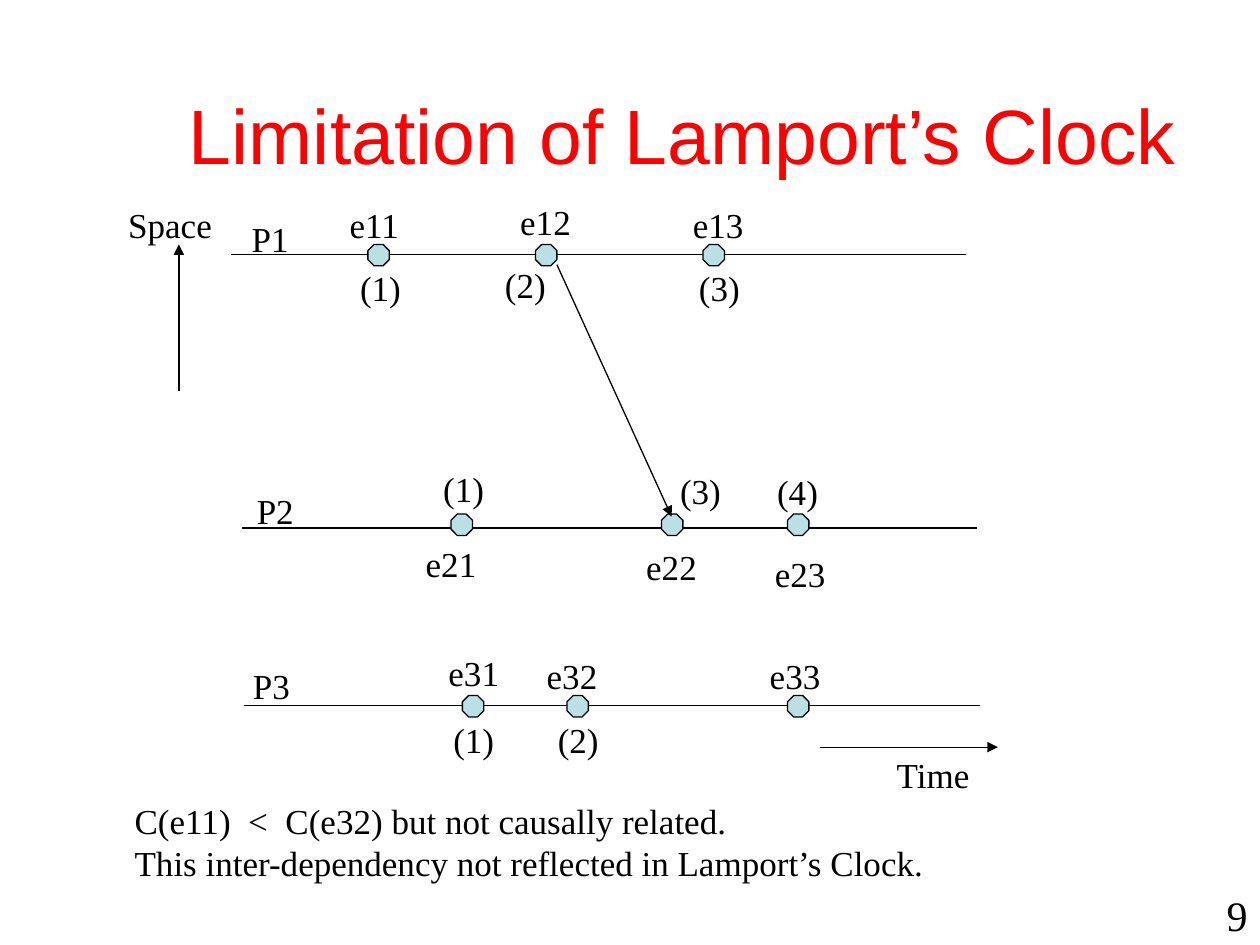
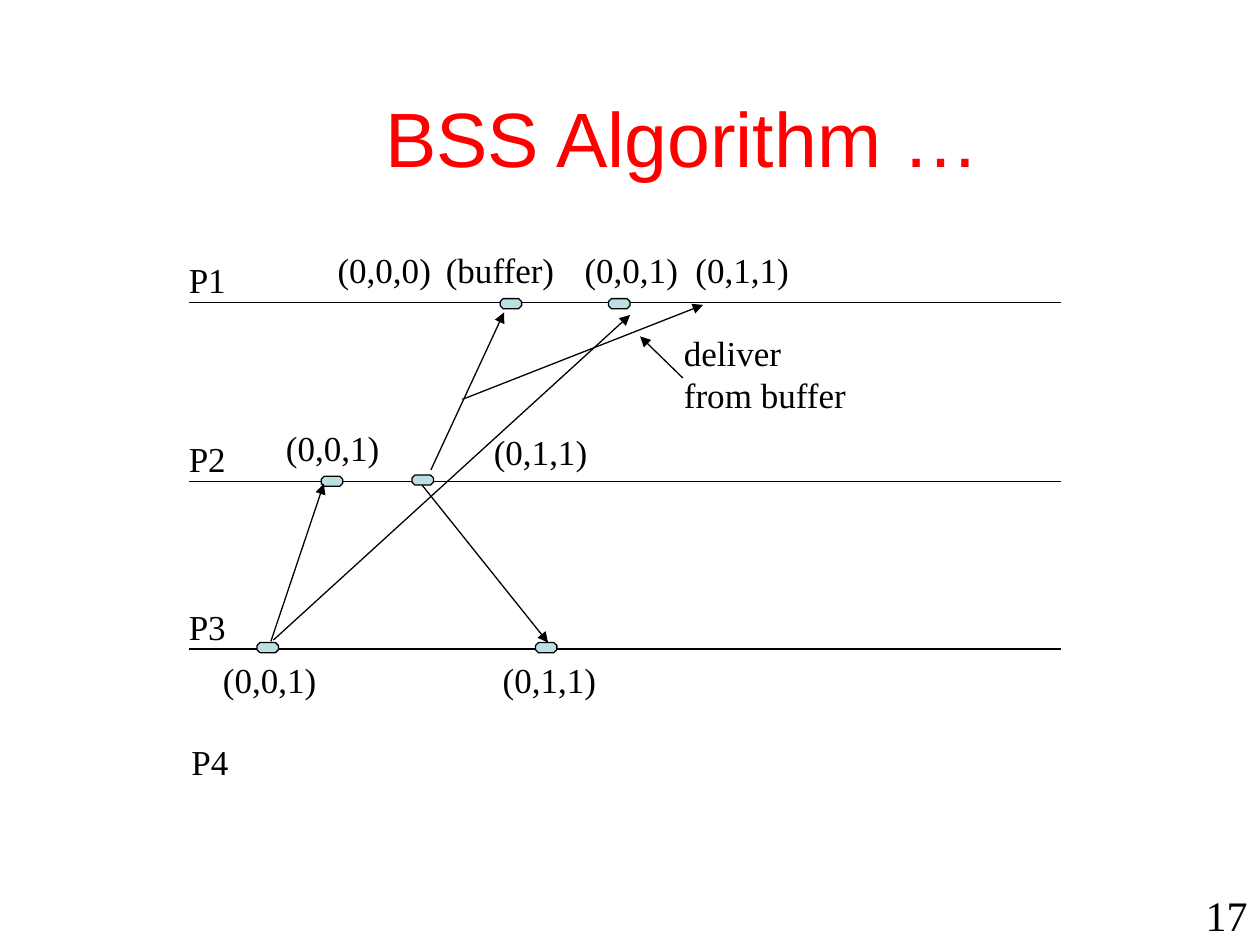
import pptx
import pptx.util
import pptx.oxml
import pptx.dml.color
import pptx.enum.shapes
import pptx.enum.text
from pptx.util import Inches

COLORS = {"title": "FF0000", "ink": "000000", "event": "BBE0E3"}
TITLE_FONT, BODY_FONT = "Arial", "Times New Roman"
LABEL_HEIGHT, LINE_STEP, LABEL_SLACK = 0.44, 0.33, 0.04
EVENT_WIDTH = 0.17
ALIGN = pptx.enum.text.PP_ALIGN
ANCHOR = pptx.enum.text.MSO_ANCHOR

SLIDES = [
    {
        "title": "Limitation of Lamport’s Clock",
        "title_top": 0.23,
        "number": "9",
        "timelines": [(1.83, 7.67, 2.02), (1.92, 7.75, 4.19), (1.94, 7.78, 5.6)],
        "event_height": 0.17,
        "events": [
            (1.94, [2.92, 4.25, 5.58]),
            (4.08, [3.58, 5.25, 6.25]),
            (5.52, [3.67, 4.5, 6.25]),
        ],
        "arrows": [
            (4.42, 2.1, 5.33, 4.1),
            (6.51, 5.93, 7.92, 5.93),
            (1.42, 3.1, 1.42, 1.94),
        ],
        "labels": [
            (0.79, ALIGN.CENTER, [("Time", 7.01, 5.93)]),
            (0.86, ALIGN.CENTER, [("Space", 0.92, 1.56)]),
            (0.49, ALIGN.CENTER, [("P1", 1.9, 1.67), ("P2", 1.94, 3.83), ("P3", 1.91, 5.22)]),
            (0.6, ALIGN.CENTER, [
                ("e11", 2.67, 1.56), ("e12", 4.03, 1.54), ("e13", 5.4, 1.56),
                ("e21", 3.28, 4.25), ("e22", 5.03, 4.28), ("e23", 6.05, 4.33),
                ("e31", 3.46, 5.12), ("e32", 4.24, 5.14), ("e33", 6.01, 5.14),
            ]),
            (0.52, ALIGN.CENTER, [
                ("(1)", 2.76, 2.06), ("(2)", 3.91, 2.04), ("(3)", 5.45, 2.06),
                ("(1)", 3.42, 3.66), ("(3)", 5.3, 3.67), ("(4)", 6.07, 3.68),
                ("(1)", 3.5, 5.65), ("(2)", 4.33, 5.65),
            ]),
            (6.48, ALIGN.LEFT, [(
                "C(e11)  <  C(e32) but not causally related.\n"
                "This inter-dependency not reflected in Lamport’s Clock.", 0.97, 6.29)]),
        ],
    },
    {
        "title": "BSS Algorithm …",
        "title_top": 0.25,
        "number": "17",
        "timelines": [(1.5, 8.42, y) for y in (2.4, 3.82, 5.15)],
        "event_height": 0.08,
        "events": [
            (2.37, [3.97, 4.83]),
            (3.78, [2.55]),
            (3.77, [3.27]),
            (5.1, [2.04, 4.25]),
        ],
        "arrows": [
            (2.15, 5.09, 2.57, 3.84),
            (2.17, 5.08, 5, 2.5),
            (3.42, 3.73, 4, 2.48),
            (3.35, 3.85, 4.35, 5.1),
            (3.67, 3.17, 5.58, 2.42),
            (5.42, 3, 5.08, 2.67),
        ],
        "labels": [
            (0.49, ALIGN.LEFT, [
                ("P1", 1.4, 2), ("P2", 1.4, 3.42), ("P3", 1.4, 4.75), ("P4", 1.42, 5.82),
            ]),
            (1.06, ALIGN.LEFT, [("(buffer)", 3.44, 1.92)]),
            (0.94, ALIGN.CENTER, [
                ("(0,0,0)", 2.58, 1.92), ("(0,0,1)", 4.54, 1.92), ("(0,1,1)", 5.42, 1.92),
                ("(0,0,1)", 2.17, 3.33), ("(0,1,1)", 3.82, 3.36),
                ("(0,0,1)", 1.67, 5.17), ("(0,1,1)", 3.89, 5.17),
            ]),
            (1.49, ALIGN.LEFT, [("deliver\nfrom buffer", 5.33, 2.58)]),
        ],
    },
]


def rgb(name):
    return pptx.dml.color.RGBColor.from_string(COLORS[name])


def set_text(tf, text, align, font, size, color):
    tf.text = text
    for p in tf.paragraphs:
        p.alignment = align
        p.font.name = font
        p.font.size = pptx.util.Pt(size)
        p.font.color.rgb = rgb(color)


def add_title(s, text, top):
    sp = s.shapes.title
    sp.left, sp.top, sp.width, sp.height = map(Inches, (1.17, top, 8.5, 1.25))
    tf = sp.text_frame
    tf.auto_size = pptx.enum.text.MSO_AUTO_SIZE.NONE
    tf.vertical_anchor = ANCHOR.BOTTOM
    set_text(tf, text, ALIGN.CENTER, TITLE_FONT, 44, "title")


def add_number(s, text):
    tf = s.shapes.add_textbox(*map(Inches, (9, 7.01, 1, 0.5))).text_frame
    tf.word_wrap = True
    tf.vertical_anchor = ANCHOR.BOTTOM
    set_text(tf, text, ALIGN.RIGHT, BODY_FONT, 24, "ink")


def add_label(s, text, x, y, width, align):
    height = LABEL_HEIGHT + LINE_STEP * text.count("\n")
    if align == ALIGN.CENTER:
        x -= LABEL_SLACK / 2
    box = (x, y, width + LABEL_SLACK, height)
    tf = s.shapes.add_textbox(*map(Inches, box)).text_frame
    tf.word_wrap = False
    tf.auto_size = pptx.enum.text.MSO_AUTO_SIZE.NONE
    tf.vertical_anchor = ANCHOR.MIDDLE
    set_text(tf, text, align, BODY_FONT, 20, "ink")


def set_line(line):
    line.color.rgb = rgb("ink")
    line.width = pptx.util.Pt(0.75)


def add_line(s, x1, y1, x2, y2, arrow=False):
    c = s.shapes.add_connector(
        pptx.enum.shapes.MSO_CONNECTOR.STRAIGHT, *map(Inches, (x1, y1, x2, y2)))
    set_line(c.line)
    if arrow:
        tail = pptx.oxml.xmlchemy.OxmlElement("a:tailEnd")
        tail.set("type", "triangle")
        c.line._get_or_add_ln().append(tail)
    c._element.spPr.append(pptx.oxml.xmlchemy.OxmlElement("a:effectLst"))


def add_event(s, x, y, height):
    sp = s.shapes.add_shape(
        pptx.enum.shapes.MSO_SHAPE.OCTAGON, *map(Inches, (x, y, EVENT_WIDTH, height)))
    sp.shadow.inherit = False
    sp.fill.solid()
    sp.fill.fore_color.rgb = rgb("event")
    set_line(sp.line)


def build_slide(prs, data):
    s = prs.slides.add_slide(prs.slide_layouts[5])
    add_number(s, data["number"])
    add_title(s, data["title"], data["title_top"])
    for x1, x2, y in data["timelines"]:
        add_line(s, x1, y, x2, y)
    for y, xs in data["events"]:
        for x in xs:
            add_event(s, x, y, data["event_height"])
    for ends in data["arrows"]:
        add_line(s, *ends, arrow=True)
    for width, align, labels in data["labels"]:
        for text, x, y in labels:
            add_label(s, text, x, y, width, align)


def main():
    prs = pptx.Presentation()
    prs.slide_width, prs.slide_height = Inches(10), Inches(7.5)
    for data in SLIDES:
        build_slide(prs, data)
    prs.save("out.pptx")


if __name__ == "__main__":
    main()
